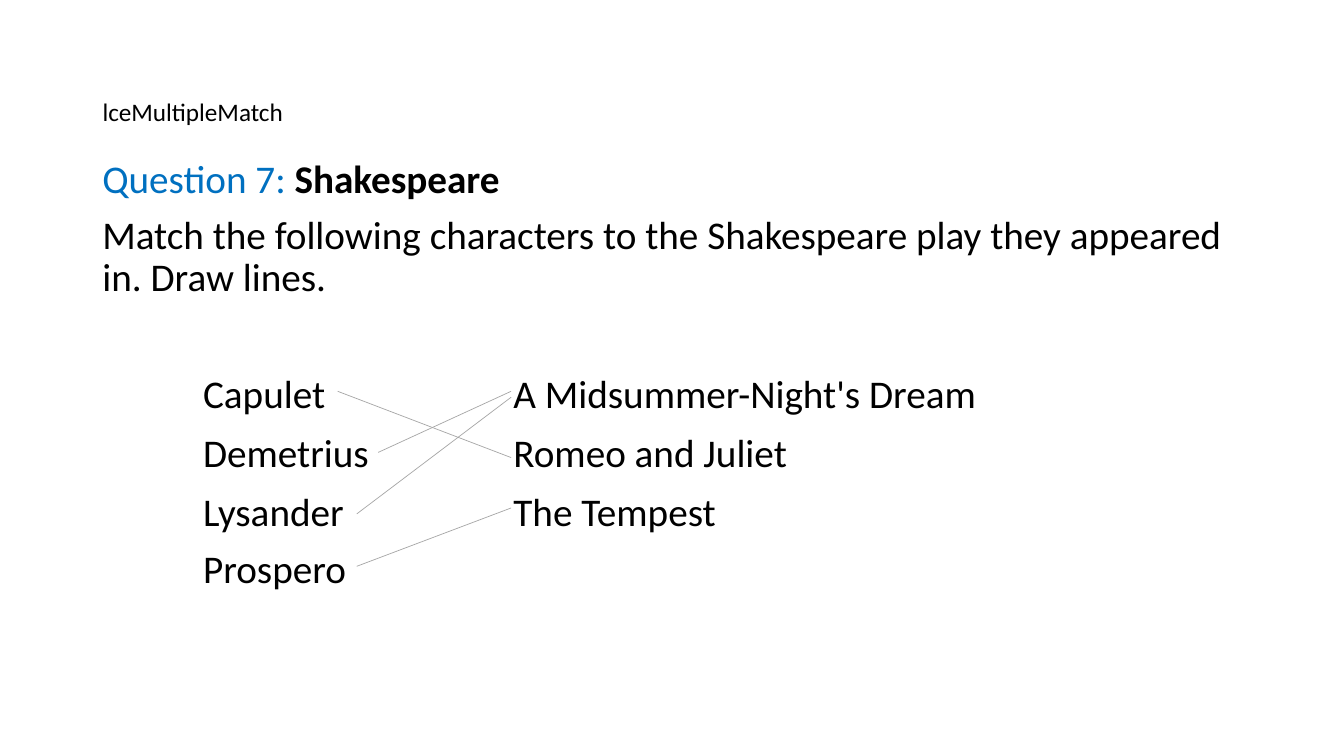
from lxml import etree
from pptx import Presentation
from pptx.dml.color import RGBColor
from pptx.enum.shapes import MSO_CONNECTOR
from pptx.enum.text import MSO_ANCHOR, MSO_AUTO_SIZE, PP_ALIGN
from pptx.oxml.ns import qn
from pptx.util import Cm, Pt

STRAIGHT = MSO_CONNECTOR.STRAIGHT
MIDDLE = MSO_ANCHOR.MIDDLE
NO_FIT = MSO_AUTO_SIZE.NONE
LEFT = PP_ALIGN.LEFT

BLACK = RGBColor(0x00, 0x00, 0x00)
BLUE = RGBColor(0x00, 0x70, 0xC0)
GREY = RGBColor(0xA6, 0xA6, 0xA6)
FONT = "Calibri"

TITLE = "lceMultipleMatch"
HEAD = [("Question 7:", BLUE, False), (" Shakespeare", BLACK, True)]
TASK = "Match the following characters to the Shakespeare play they appeared in. Draw lines."
ROWS = [
    ("Capulet", "A Midsummer-Night's Dream", 53),
    ("Demetrius", "Romeo and Juliet", 12),
    ("Lysander", "The Tempest", 12),
    ("Prospero", "", 10),
]
TABS = (2.54, 10.36)
LINKS = [
    (8.51, 9.86, 11.53),
    (9.53, 11.4, 9.86),
    (8.99, 12.95, 10.01),
    (8.99, 14.27, 12.8),
]
LINK_END = 12.88
EDGE, WIDTH = 2.33, 29.21


def add_line(para, runs, size, before):
    para.alignment = LEFT
    para.line_spacing = 0.9
    para.space_before = Pt(before)
    for text, color, bold in runs:
        run = para.add_run()
        run.text = text
        run.font.name = FONT
        run.font.size = Pt(size)
        run.font.color.rgb = color
        run.font.bold = bold


def set_tabs(para):
    tabs = etree.SubElement(para._p.get_or_add_pPr(), qn("a:tabLst"))
    for stop in TABS:
        etree.SubElement(tabs, qn("a:tab"), pos=str(Cm(stop)), algn="l")


deck = Presentation()
deck.slide_width, deck.slide_height = Cm(33.87), Cm(19.05)
slide = deck.slides.add_slide(deck.slide_layouts[5])
shapes = slide.shapes

title = shapes.title
title.left, title.top, title.width, title.height = Cm(EDGE), Cm(1.01), Cm(WIDTH), Cm(3.68)
frame = title.text_frame
frame.auto_size = NO_FIT
frame.vertical_anchor = MIDDLE
add_line(frame.paragraphs[0], [(TITLE, BLACK, False)], 18, 0)

body = shapes.add_textbox(Cm(EDGE), Cm(3.89), Cm(WIDTH), Cm(12.09)).text_frame
body.word_wrap = True
body.auto_size = NO_FIT
add_line(body.paragraphs[0], HEAD, 28, 6)
add_line(body.add_paragraph(), [(TASK, BLACK, False)], 28, 10)
for name, play, before in ROWS:
    para = body.add_paragraph()
    text = f"\t{name}\t{play}" if play else f"\t{name}"
    add_line(para, [(text, BLACK, False)], 28, before)
    set_tabs(para)

for left, start, end in LINKS:
    link = shapes.add_connector(STRAIGHT, Cm(left), Cm(start), Cm(LINK_END), Cm(end))
    link.line.color.rgb = GREY
    link.line.width = Pt(0.5)
    etree.SubElement(link._element.spPr, qn("a:effectLst"))

deck.save("out.pptx")
